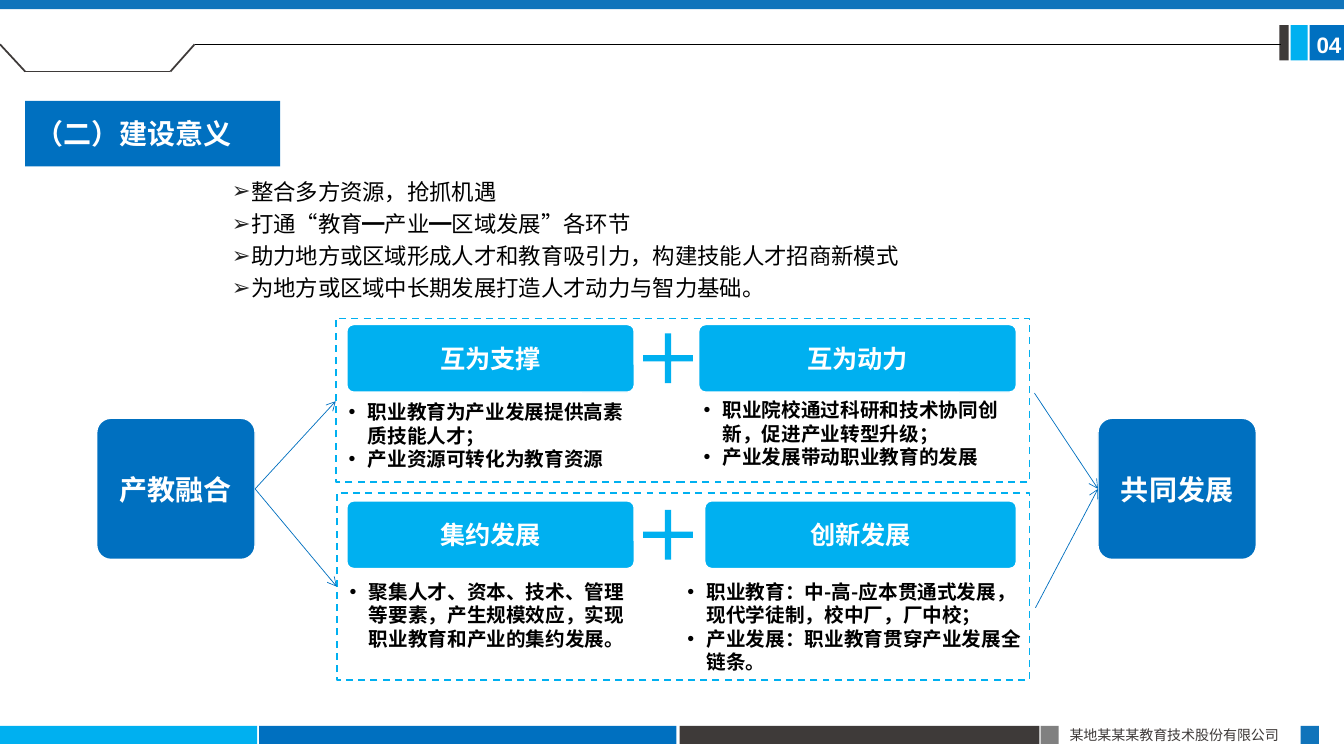
from pptx import Presentation
from pptx.dml.color import RGBColor
from pptx.enum.dml import MSO_LINE
from pptx.enum.shapes import MSO_CONNECTOR, MSO_SHAPE
from pptx.enum.text import MSO_ANCHOR, MSO_AUTO_SIZE, PP_ALIGN
from pptx.oxml.ns import qn
from pptx.util import Emu, Pt
from lxml.etree import SubElement

PX = 9144
CJK = "Noto Sans CJK SC"
BLUE, SKY, NAVY = "0070C0", "00B0F0", "1074BB"
DARK, GRAY, WHITE, BLACK = "3E3A39", "808080", "FFFFFF", "000000"


def px(*vals):
    return [Emu(v * PX) for v in vals]


def color(code):
    return RGBColor.from_string(code)


class Deck:
    def __init__(self, slide, font):
        self.slide = slide
        self.font = font

    def run(self, para, text, size, ink, bold=False, font=None):
        run = para.add_run()
        run.text = text
        run.font.name = font or self.font
        run.font.size = Pt(size)
        run.font.bold = bold
        run.font.color.rgb = color(ink)
        props = run._r.get_or_add_rPr()
        props.set("lang", "zh-CN")
        latin = props.find(qn("a:latin"))
        east = props.makeelement(qn("a:ea"), {"typeface": self.font})
        latin.addnext(east)

    def bullet(self, para, mark, ink):
        props = para._p.get_or_add_pPr()
        props.set("marL", str(19 * PX))
        props.set("indent", str(-19 * PX))
        tint = SubElement(props, qn("a:buClr"))
        SubElement(tint, qn("a:srgbClr"), val=ink)
        SubElement(props, qn("a:buFont"), typeface="Arial")
        SubElement(props, qn("a:buChar"), char=mark)

    def place(self, item, box):
        item.left, item.top, item.width, item.height = px(*box)

    def title(self, box, fill, parts, size):
        item = self.slide.shapes.title
        self.place(item, box)
        item.fill.solid()
        item.fill.fore_color.rgb = color(fill)
        frame = item.text_frame
        frame.auto_size = MSO_AUTO_SIZE.NONE
        frame.vertical_anchor = MSO_ANCHOR.MIDDLE
        para = frame.paragraphs[0]
        para.alignment = PP_ALIGN.LEFT
        for text, font in parts:
            self.run(para, text, size, WHITE, True, font)

    def fill_list(self, frame, lines, mark, ink, size, bold, align, gap):
        for i, line in enumerate(lines):
            para = frame.add_paragraph() if i else frame.paragraphs[0]
            self.bullet(para, mark, ink)
            para.alignment = align
            para.line_spacing = gap
            para.space_before = Pt(0)
            self.run(para, line, size, BLACK, bold)

    def body(self, box, lines):
        item = self.slide.placeholders[1]
        self.place(item, box)
        item.text_frame.auto_size = MSO_AUTO_SIZE.NONE
        self.fill_list(item.text_frame, lines, "➢", "262626", 16, False,
                       PP_ALIGN.JUSTIFY, 1.2)

    def frame(self, box):
        frame = self.slide.shapes.add_textbox(*px(*box)).text_frame
        frame.word_wrap = True
        return frame

    def label(self, box, text, size, ink, bold=False, font=None):
        self.run(self.frame(box).paragraphs[0], text, size, ink, bold, font)

    def notes(self, box, lines):
        self.fill_list(self.frame(box), lines, "•", BLACK, 14, True,
                       PP_ALIGN.LEFT, 1.0)

    def shape(self, box, fill, kind=MSO_SHAPE.RECTANGLE, edge=None, width=1,
              adj=None):
        item = self.slide.shapes.add_shape(kind, *px(*box))
        item.shadow.inherit = False
        item.fill.solid()
        item.fill.fore_color.rgb = color(fill)
        if edge:
            item.line.color.rgb = color(edge)
            item.line.width = Pt(width)
        else:
            item.line.fill.background()
        if adj:
            item.adjustments[0] = adj
        return item

    def card(self, box, fill, text, size):
        item = self.shape(box, fill, MSO_SHAPE.ROUNDED_RECTANGLE, WHITE, 1, 0.1)
        item.text_frame.vertical_anchor = MSO_ANCHOR.MIDDLE
        para = item.text_frame.paragraphs[0]
        para.alignment = PP_ALIGN.CENTER
        self.run(para, text, size, WHITE, True)

    def panel(self, box):
        item = self.shape(box, WHITE, edge=SKY, width=1.25)
        item.line.dash_style = MSO_LINE.DASH

    def plus(self, left, top):
        self.shape((left, top, 67, 67), SKY, MSO_SHAPE.MATH_PLUS, adj=0.092)

    def line(self, ends, ink, width, arrow=False):
        item = self.slide.shapes.add_connector(MSO_CONNECTOR.STRAIGHT, *px(*ends))
        item.line.color.rgb = color(ink)
        item.line.width = Pt(width)
        if arrow:
            SubElement(item.line._get_or_add_ln(), qn("a:tailEnd"), type="arrow")
        SubElement(item._element.spPr, qn("a:effectLst"))


def main():
    show = Presentation()
    show.slide_width, show.slide_height = px(1333, 750)
    deck = Deck(show.slides.add_slide(show.slide_layouts[1]), CJK)

    bars = [
        ((0, 720, 255, 18), SKY), ((257, 720, 414, 18), BLUE),
        ((674, 720, 357, 18), DARK), ((1032, 720, 18, 18), GRAY),
        ((1290, 720, 18, 18), NAVY), ((1299, 25, 34, 35), BLUE),
        ((1280, 25, 17, 35), SKY), ((1269, 25, 9, 35), DARK),
        ((0, 0, 1333, 9), NAVY),
    ]
    for box, fill in bars:
        deck.shape(box, fill)
    deck.label((1051, 716, 240, 27), "某地某某某教育技术股份有限公司", 10, DARK)
    deck.label((1296, 26, 50, 37), "04", 16, WHITE, True, "Arial")

    for ends in [(25, 71, 169, 71), (169, 71, 193, 44), (25, 71, 0, 44)]:
        deck.line(ends, DARK, 1.25)
    deck.line((193, 44, 1271, 44), BLACK, 0.5)

    deck.title((25, 100, 253, 65), BLUE,
               [("（二）", "Calibri"), ("建设意义", CJK)], 20)
    deck.body((220, 166, 882, 139), [
        "整合多方资源，抢抓机遇",
        "打通“教育━产业━区域发展”各环节",
        "助力地方或区域形成人才和教育吸引力，构建技能人才招商新模式",
        "为地方或区域中长期发展打造人才动力与智力基础。",
    ])

    for left, text in [(96, "产教融合"), (1089, "共同发展")]:
        deck.card((left, 415, 157, 140), BLUE, text, 20)

    rows = [
        ((333, 316, 688, 162), 322, [
            ((344, 285), "互为支撑", (336, 392, 293, 81),
             ["职业教育为产业发展提供高素质技能人才；",
              "产业资源可转化为教育资源"]),
            ((693, 315), "互为动力", (688, 390, 320, 81),
             ["职业院校通过科研和技术协同创新，促进产业转型升级；",
              "产业发展带动职业教育的发展"]),
        ]),
        ((334, 489, 687, 186), 497, [
            ((344, 285), "集约发展", (337, 570, 293, 81),
             ["聚集人才、资本、技术、管理等要素，产生规模效应，实现职业教育和产业的集约发展。"]),
            ((699, 309), "创新发展", (672, 570, 355, 104),
             ["职业教育：中-高-应本贯通式发展，现代学徒制，校中厂，厂中校；",
              "产业发展：职业教育贯穿产业发展全链条。"]),
        ]),
    ]
    for box, top, cards in rows:
        deck.panel(box)
        for (left, width), head, area, lines in cards:
            deck.card((left, top, width, 67), SKY, head, 18)
            deck.notes(area, lines)
        deck.plus(629, top)

    for ends in [(253, 485, 333, 398), (253, 485, 334, 582),
                 (1026, 390, 1089, 485), (1027, 603, 1089, 485)]:
        deck.line(ends, BLUE, 0.5, True)

    show.save("out.pptx")


if __name__ == "__main__":
    main()
